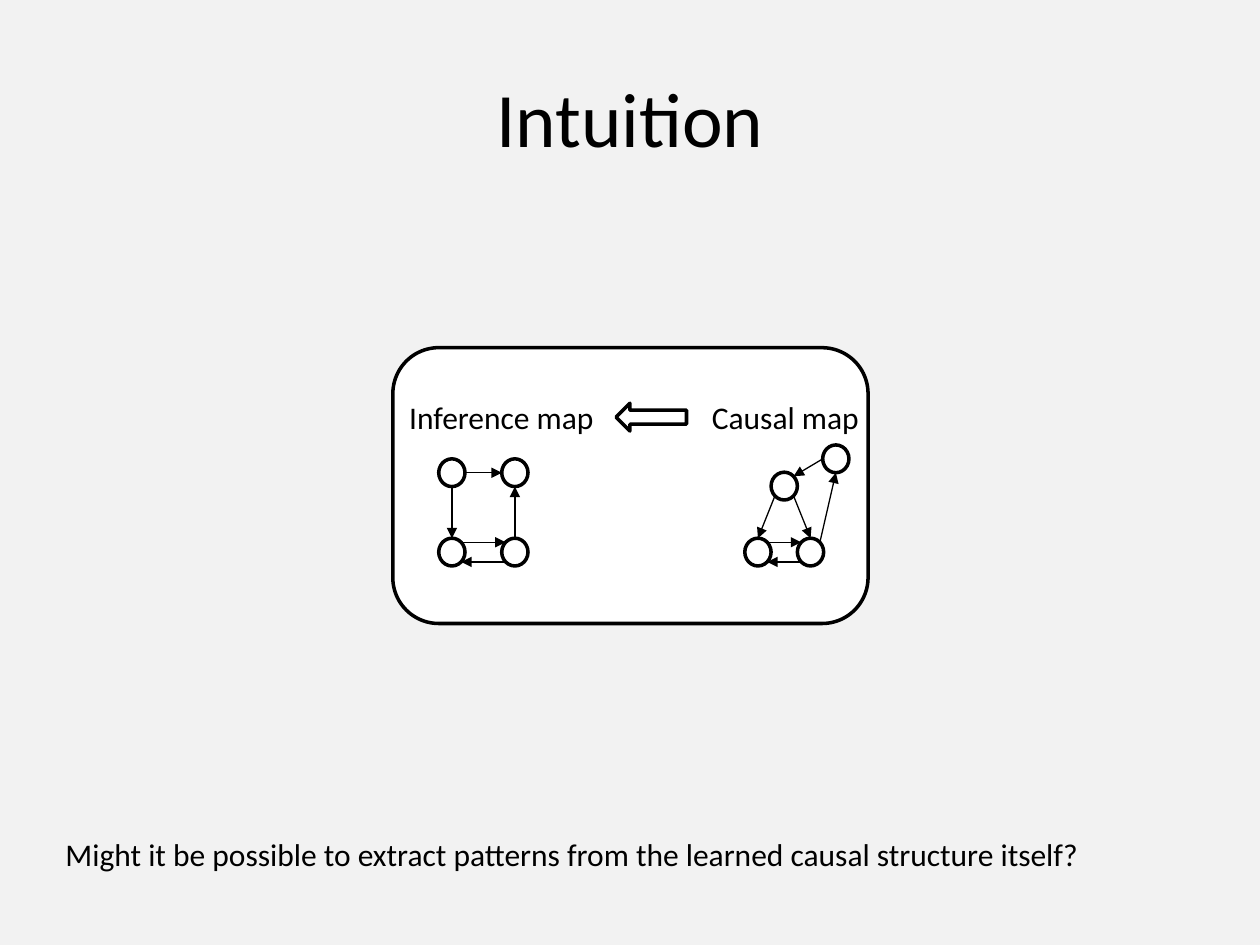
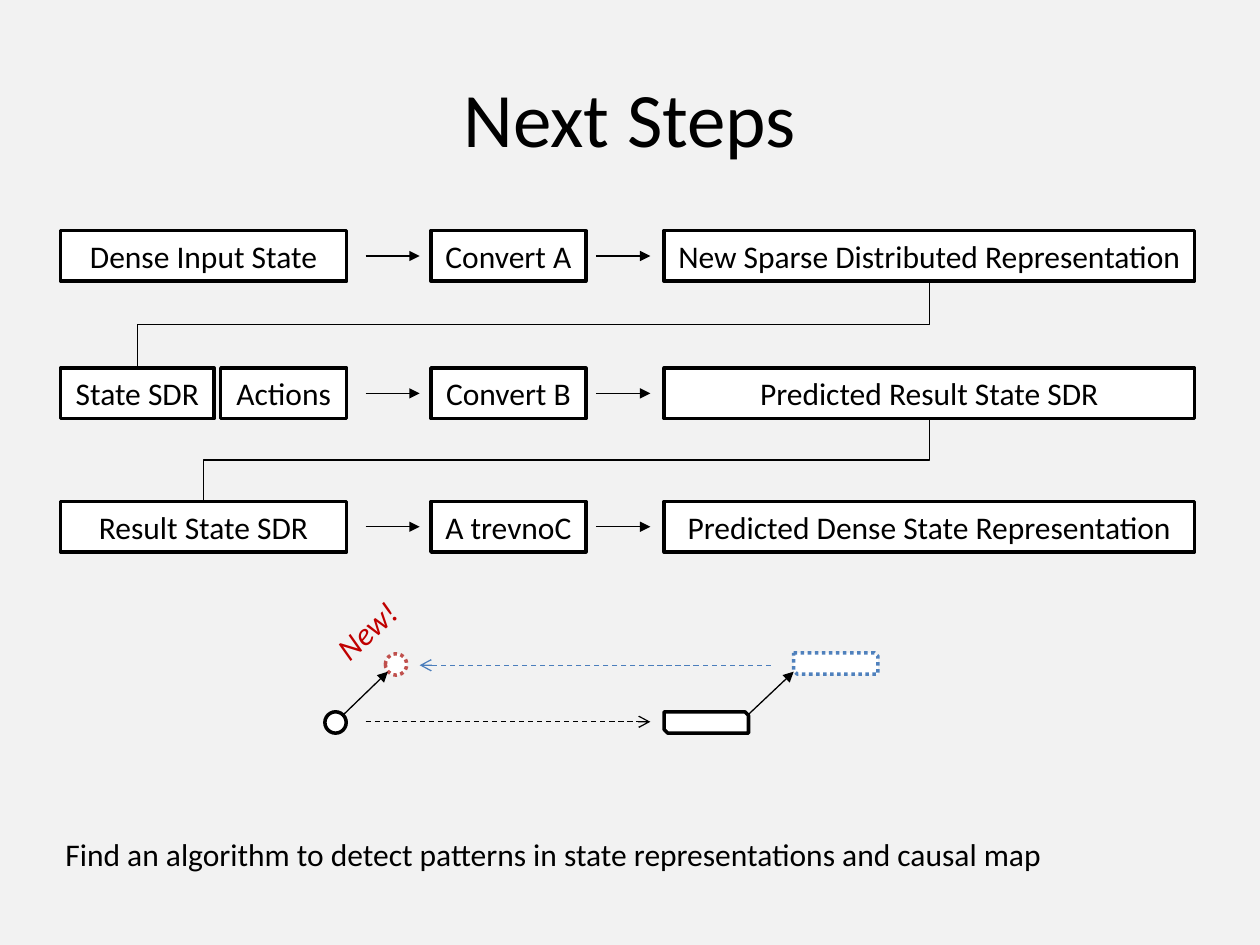
from pptx import Presentation, util as u
from pptx.dml.color import RGBColor
from pptx.enum import shapes, text, dml
from pptx.oxml import ns
from lxml import etree

HUE = {"back": "F2F2F2", "ink": "000000", "fill": "FFFFFF", "blue": "4F81BD",
       "pale": "4B7EBC", "red": "C0504D", "deep": "C00000"}
FONT = {"name": "Calibri", "size": u.Pt(18), "italic": False}
HEAD = {"size": u.Pt(44)}
KIND = shapes.MSO_SHAPE
DASH = dml.MSO_LINE
MID = text.PP_ALIGN.CENTER

TITLES = ["Intuition", "Next Steps"]
NOTES = [
    "Might it be possible to extract patterns from the learned causal structure itself?",
    "Find an algorithm to detect patterns in state representations and causal map",
]

FRAME = (7.92, 7.01, 9.58, 5.56)
POINT = (12.42, 8.13, 1.42, 0.56)
NODE = (0.53, 0.56)
SIDE = {"N": (0, -1), "S": (0, 1), "W": (-1, 0), "E": (1, 0),
        "NE": (0.71, -0.71), "NW": (-0.71, -0.71),
        "SE": (0.71, 0.71), "SW": (-0.71, 0.71)}
LOOP = [("c", "NE", "d", "NW"), ("d", "SW", "c", "SE")]
MAPS = [
    {"name": "Inference map", "at": (8, 7.9, 4.7, 1.02),
     "nodes": {"a": (9.11, 9.53), "b": (10.38, 9.53),
               "c": (9.11, 11.13), "d": (10.38, 11.13)},
     "edges": [("a", "E", "b", "W"), ("a", "S", "c", "N"), ("d", "N", "b", "S")]},
    {"name": "Causal map", "at": (14.1, 7.9, 3.81, 1.02),
     "nodes": {"a": (15.81, 9.8), "b": (16.85, 9.25),
               "c": (15.28, 11.13), "d": (16.34, 11.13)},
     "edges": [("a", "SE", "d", "N"), ("a", "SW", "c", "N"),
               ("d", "NE", "b", "S"), ("b", "W", "a", "NE")]},
]

HIGH = 1.02
COLS = {"in": (1.22, 5.77), "state": (1.22, 3.1), "act": (4.45, 2.54),
        "conv": (8.69, 3.12), "out": (13.39, 10.69)}
GAPS = [(7.37, 8.46), (12.01, 13.11)]
ROWS = [
    (4.65, [("in", "Dense Input State"), ("conv", "Convert A"),
            ("out", "New Sparse Distributed Representation")]),
    (7.42, [("state", "State SDR"), ("act", "Actions"), ("conv", "Convert B"),
            ("out", "Predicted Result State SDR")]),
    (10.11, [("in", "Result State SDR"), ("conv", "A trevnoC"),
             ("out", "Predicted Dense State Representation")]),
]
DOT = (0.43, 0.43)
BAR = (1.7, 0.43)
MARKS = [
    (KIND.FLOWCHART_CONNECTOR, (6.55, 14.35) + DOT, "ink", None),
    (KIND.SNIP_2_DIAG_RECTANGLE, (13.39, 14.35) + BAR, "ink", None),
    (KIND.SNIP_2_DIAG_RECTANGLE, (16, 13.16) + BAR, "blue", DASH.ROUND_DOT),
    (KIND.FLOWCHART_CONNECTOR, (7.77, 13.18) + DOT, "red", DASH.ROUND_DOT),
]
LINKS = [
    ((6.93, 14.4), (7.82, 13.54), {}),
    ((15.09, 14.4), (16, 13.54), {}),
    ((7.37, 14.55), (13.11, 14.55), {"tip": "arrow", "dash": DASH.DASH}),
    ((15.54, 13.41), (8.46, 13.41),
     {"tip": "arrow", "dash": DASH.DASH, "hue": "pale"}),
]


def cm(nums):
    return [u.Cm(n) for n in nums]


def tint(part, hue):
    part.rgb = RGBColor.from_string(HUE[hue])


def put(part, vals):
    for key, val in vals.items():
        setattr(part, key, val)


def write(shape, words, look={}, hue="ink", align=None, wrap=True, anchor="TOP"):
    frame = shape.text_frame
    put(frame, {"word_wrap": wrap,
                "vertical_anchor": getattr(text.MSO_ANCHOR, anchor)})
    par = frame.paragraphs[0]
    par.alignment = align
    run = par.add_run()
    run.text = words
    put(run.font, {**FONT, **look})
    tint(run.font.color, hue)


def label(slide, at, words, **opts):
    box = slide.shapes.add_textbox(*cm(at))
    write(box, words, **opts)
    return box


def draw(slide, kind, at, hue="ink", dash=None):
    shape = slide.shapes.add_shape(kind, *cm(at))
    shape.shadow.inherit = False
    shape.fill.solid()
    tint(shape.fill.fore_color, "fill")
    tint(shape.line.color, hue)
    put(shape.line, {"width": u.Pt(2), "dash_style": dash})
    return shape


def join(slide, start, end, tip="triangle", hue="ink", dash=None, bent=False):
    kind = shapes.MSO_CONNECTOR.ELBOW if bent else shapes.MSO_CONNECTOR.STRAIGHT
    link = slide.shapes.add_connector(kind, *cm(start + end))
    tint(link.line.color, hue)
    put(link.line, {"width": u.Pt(0.75), "dash_style": dash})
    if tip:
        etree.SubElement(link.line._get_or_add_ln(), ns.qn("a:tailEnd"), type=tip)
    etree.SubElement(link._element.spPr, ns.qn("a:effectLst"))
    return link


def drop(slide, top, low):
    link = join(slide, (0, 0), (1, 1), tip=None, bent=True)
    link.begin_connect(top, 2)
    link.end_connect(low, 0)
    wide, high = link.width, link.height
    turn = (wide - high) // 2
    link._element.flipH = False
    put(link, {"left": link.left + turn, "top": link.top - turn,
               "width": high, "height": wide, "rotation": 90})


def page(deck, title, note):
    slide = deck.slides.add_slide(deck.slide_layouts[6])
    slide.background.fill.solid()
    tint(slide.background.fill.fore_color, "back")
    label(slide, (1.27, 0.76, 22.86, 3.18), title, look=HEAD, align=MID,
          anchor="MIDDLE")
    label(slide, (1.07, 16.71, 23.29, 1.02), note)
    return slide


def graph(slide, plan):
    nodes = plan["nodes"]
    wide, high = NODE

    def spot(name, side):
        (x, y), (dx, dy) = nodes[name], SIDE[side]
        return x + dx * wide / 2, y + dy * high / 2

    for x, y in nodes.values():
        draw(slide, KIND.FLOWCHART_CONNECTOR, (x - wide / 2, y - high / 2) + NODE)
    for a, out, b, into in plan["edges"]:
        join(slide, spot(a, out), spot(b, into))
    for a, out, b, into in LOOP:
        join(slide, spot(a, out), spot(b, into.replace("N", "N")))
    label(slide, plan["at"], plan["name"])


def think(slide):
    draw(slide, KIND.ROUNDED_RECTANGLE, FRAME)
    for plan in MAPS:
        graph(slide, plan)
    draw(slide, KIND.LEFT_ARROW, POINT)


def steps(slide):
    last = None
    for y, cells in ROWS:
        boxes = []
        for col, words in cells:
            x, wide = COLS[col]
            box = draw(slide, KIND.RECTANGLE, (x, y, wide, HIGH))
            write(box, words, align=MID)
            boxes.append(box)
        for x, end in GAPS:
            join(slide, (x, y + HIGH / 2), (end, y + HIGH / 2))
        if last:
            drop(slide, last, boxes[0])
        last = boxes[-1]
    for mark in MARKS:
        draw(slide, *mark)
    for start, end, opts in LINKS:
        join(slide, start, end, **opts)
    new = label(slide, (6.45, 12.19, 1.9, HIGH), "New!", look={"italic": True},
                hue="deep", wrap=False)
    new.rotation = 317.7


def main():
    deck = Presentation()
    put(deck, {"slide_width": u.Cm(25.4), "slide_height": u.Cm(19.05)})
    for title, note, fill in zip(TITLES, NOTES, (think, steps)):
        fill(page(deck, title, note))
    deck.save("out.pptx")


if __name__ == "__main__":
    main()
